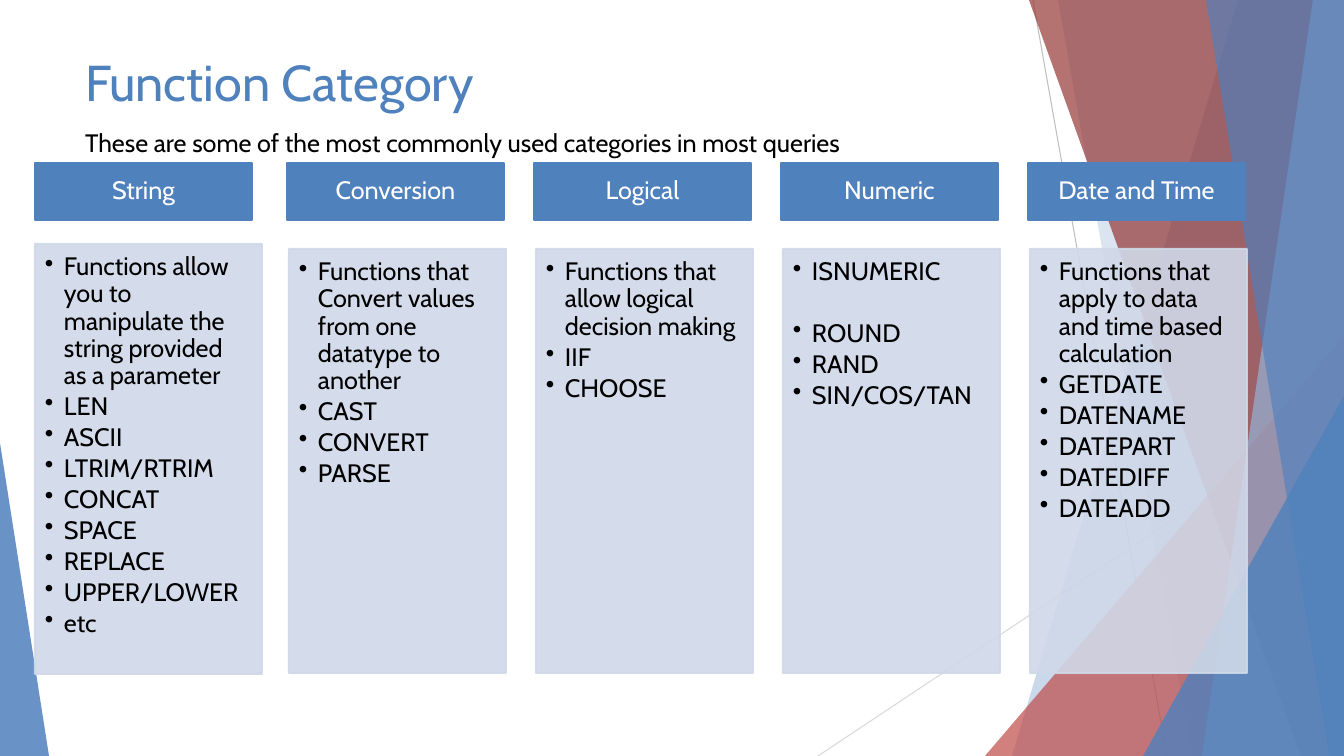
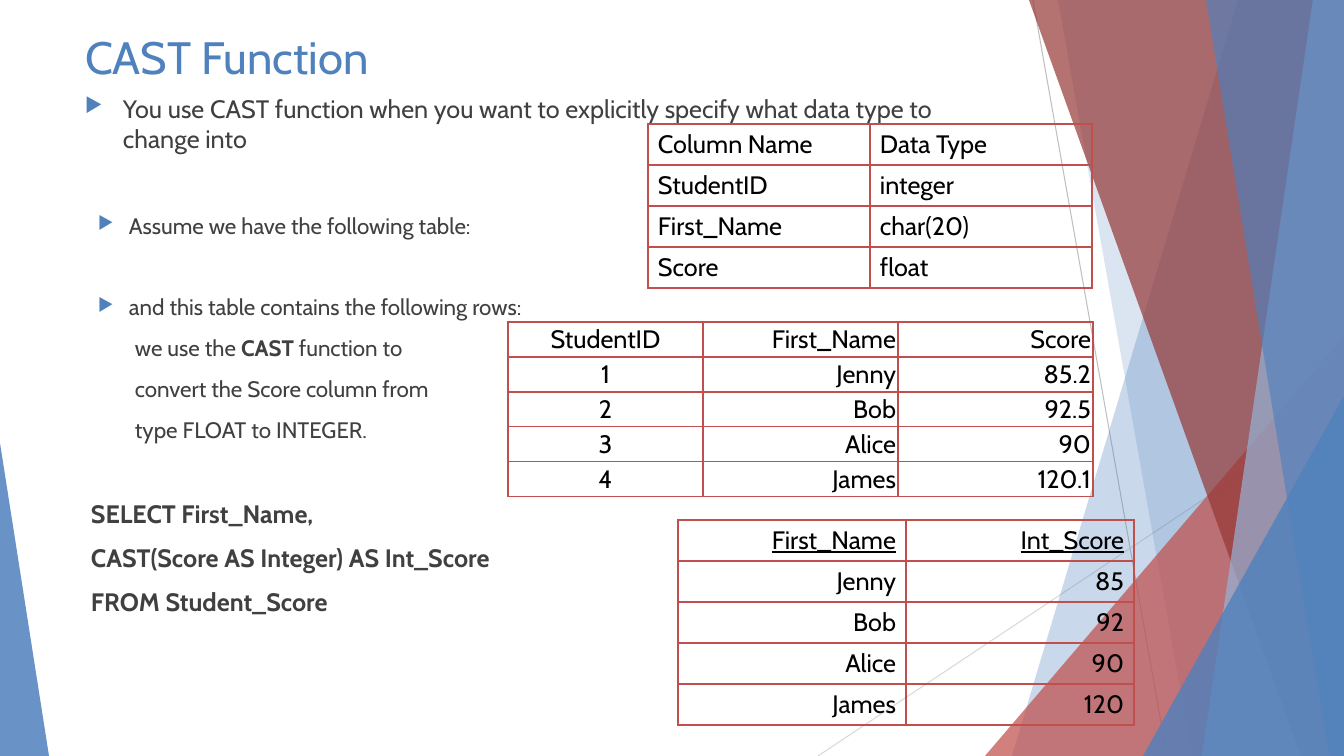
from dataclasses import dataclass

from lxml.etree import SubElement
from pptx import Presentation
from pptx.dml.color import RGBColor
from pptx.enum.shapes import MSO_CONNECTOR as Connector, MSO_SHAPE as Preset
from pptx.enum.text import MSO_ANCHOR as Anchor, MSO_AUTO_SIZE as AutoSize, PP_ALIGN as Align
from pptx.oxml.ns import qn
from pptx.util import Pt

SCALE = 914400 / 100.8
WIDTH, HEIGHT = 1344, 756


@dataclass(frozen=True)
class Theme:
    """Colours, font and type sizes of the deck."""
    font: str = "Cabin"
    accent: str = "4F81BD"
    red: str = "C0504D"
    dark_red: str = "953735"
    light_blue: str = "95B3D7"
    panel: str = "D0D8E8"
    ray: str = "BFBFBF"
    pale_ray: str = "D9D9D9"
    black: str = "000000"
    white: str = "FFFFFF"
    grey: str = "404040"
    title_size: float = 36
    small_title_size: float = 32.4
    text_size: float = 18
    detail_size: float = 16


THEME = Theme()

CATEGORIES = [
    ("String", ["Functions allow you to manipulate the string provided as a parameter",
                "LEN", "ASCII", "LTRIM/RTRIM", "CONCAT", "SPACE", "REPLACE",
                "UPPER/LOWER", "etc"]),
    ("Conversion", ["Functions that Convert values from one datatype to another",
                    "CAST", "CONVERT", "PARSE"]),
    ("Logical", ["Functions that allow logical decision making", "IIF", "CHOOSE"]),
    ("Numeric", ["ISNUMERIC", "ROUND", "RAND", "SIN/COS/TAN"]),
    ("Date and Time", ["Functions that apply to data and time based calculation",
                       "GETDATE", "DATENAME", "DATEPART", "DATEDIFF", "DATEADD"]),
]
COLUMN_TYPES = [("Column Name", "Data Type"), ("StudentID", "integer"),
                ("First_Name", "char(20)"), ("Score", "float")]
SCORES = [("StudentID", "First_Name", "Score"), ("1", "Jenny", "85.2"),
          ("2", "Bob", "92.5"), ("3", "Alice", "90"), ("4", "James", "120.1")]
CAST_SCORES = [("First_Name", "Int_Score"), ("Jenny", "85"), ("Bob", "92"),
               ("Alice", "90"), ("James", "120")]


def px(*lengths):
    """Turn pixel lengths into a list of EMU."""
    return [round(length * SCALE) for length in lengths]


def rgb(code):
    """Return the colour for a hex code."""
    return RGBColor.from_string(code)


def apply(target, values):
    """Set every attribute named in values."""
    for name, value in values.items():
        setattr(target, name, value)


def add_span(para, text, color, size=THEME.text_size, **values):
    """Add a formatted run to a paragraph."""
    span = para.add_run()
    span.text = text
    apply(span.font, {"name": THEME.font, "size": Pt(size), **values})
    span.font.color.rgb = rgb(color)


def set_frame(frame, insets=(10, 5, 10, 5), anchor=Anchor.TOP):
    """Set wrapping, insets and anchor of a text frame."""
    left, top, right, bottom = px(*insets)
    apply(frame, {"word_wrap": True, "auto_size": AutoSize.NONE,
                  "vertical_anchor": anchor, "margin_left": left, "margin_top": top,
                  "margin_right": right, "margin_bottom": bottom})


def next_para(frame, **values):
    """Return the unused first paragraph or a new one, left aligned by default."""
    first = frame.paragraphs[0]
    para = first if not first.runs else frame.add_paragraph()
    apply(para, {"alignment": Align.LEFT, **values})
    return para


def set_indent(para, left, hanging=0, bullet=None, color=None, percent=100):
    """Set the indent of a paragraph and its bullet, if any."""
    props = para._p.get_or_add_pPr()
    margin, first = px(left, -hanging)
    props.set("marL", str(margin))
    props.set("indent", str(first))
    if bullet is None:
        SubElement(props, qn("a:buNone"))
        return
    if color:
        SubElement(SubElement(props, qn("a:buClr")), qn("a:srgbClr"), val=color)
    SubElement(props, qn("a:buSzPct"), val=str(percent * 1000))
    SubElement(props, qn("a:buChar"), char=bullet)


def paint(shape, color, opacity=100, line=None):
    """Give a shape its fill, line and opacity, without shadow."""
    shape.shadow.inherit = False
    shape.fill.solid()
    shape.fill.fore_color.rgb = rgb(color)
    if line:
        shape.line.color.rgb = rgb(color)
        shape.line.width = Pt(line)
    else:
        shape.line.fill.background()
    if opacity < 100:
        for node in shape.element.spPr.iter(qn("a:srgbClr")):
            SubElement(node, qn("a:alpha"), val=str(opacity * 1000))


def add_ray(slide, start, end, color):
    """Add a thin straight line."""
    ray = slide.shapes.add_connector(Connector.STRAIGHT, *px(*start, *end))
    ray.line.color.rgb = rgb(color)
    ray.line.width = Pt(0.75)
    SubElement(ray.element.spPr, qn("a:effectLst"))


def add_facet(slide, top_x, bottom_x, color, opacity):
    """Add a translucent band from a slanted edge to the right slide edge."""
    builder = slide.shapes.build_freeform(top_x, 0, SCALE)
    builder.add_line_segments([(WIDTH, 0), (WIDTH, HEIGHT), (bottom_x, HEIGHT)], close=True)
    paint(builder.convert_to_shape(), color, opacity)


def add_corner(slide, left, top, width, peak, color, opacity):
    """Add a translucent triangle standing on the bottom edge."""
    corner = slide.shapes.add_shape(Preset.ISOSCELES_TRIANGLE,
                                    *px(left, top, width, HEIGHT - top))
    corner.adjustments[0] = peak
    paint(corner, color, opacity)


def decorate_layout(layout, slide):
    """Draw the facets on a fresh slide and move them to its layout."""
    for holder in list(layout.placeholders):
        if holder.placeholder_format.idx:
            holder.element.getparent().remove(holder.element)
    add_ray(slide, (1033, 0), (1167, HEIGHT), THEME.ray)
    add_ray(slide, (WIDTH, 406), (818, HEIGHT), THEME.pale_ray)
    add_facet(slide, 1238, 1012, THEME.accent, 30)
    add_facet(slide, 1058, 1192, THEME.accent, 20)
    add_corner(slide, 985, 336, 359, 1, THEME.red, 72)
    add_facet(slide, 1029, 1301, THEME.dark_red, 70)
    add_facet(slide, 1313, 1202, THEME.light_blue, 70)
    add_facet(slide, 1206, 1329, THEME.accent, 65)
    add_corner(slide, 1143, 396, 201, 1, THEME.accent, 80)
    add_corner(slide, 0, 443, 49, 0, THEME.accent, 85)
    for shape in list(slide.shapes):
        if not shape.is_placeholder:
            layout.shapes.element.append(shape.element)


def set_title(slide, text, top, height, size):
    """Place and format the title placeholder."""
    title = slide.shapes.title
    apply(title, dict(zip(("left", "top", "width", "height"), px(75, top, 948, height))))
    set_frame(title.text_frame)
    add_span(next_para(title.text_frame), text, THEME.accent, size)


def add_text_box(slide, left, top, width, height):
    """Add a text box and return its frame."""
    frame = slide.shapes.add_textbox(*px(left, top, width, height)).text_frame
    set_frame(frame)
    return frame


def add_header(slide, left, text):
    """Add the solid heading of a category."""
    box = slide.shapes.add_shape(Preset.RECTANGLE, *px(left, 163, 217, 57))
    paint(box, THEME.accent, line=1.5)
    set_frame(box.text_frame, (14, 8, 14, 8), Anchor.MIDDLE)
    para = next_para(box.text_frame, alignment=Align.CENTER, line_spacing=0.9)
    add_span(para, text, THEME.white)


def add_panel(slide, bounds, items, gap_before=None):
    """Add the bulleted panel of a category, with a gap before one item."""
    box = slide.shapes.add_shape(Preset.RECTANGLE, *px(*bounds))
    paint(box, THEME.panel, 90, 1.5)
    set_frame(box.text_frame, (10, 10, 14, 16))
    for item in items:
        gap = 22 if item == gap_before else 0
        para = next_para(box.text_frame, line_spacing=0.9, space_before=Pt(gap),
                         space_after=Pt(2.7))
        set_indent(para, 19, 19, "•")
        add_span(para, item, THEME.black)


def add_border(cell):
    """Draw the four thin borders of a cell."""
    props = cell._tc.get_or_add_tcPr()
    for side in ("a:lnL", "a:lnR", "a:lnT", "a:lnB"):
        line = SubElement(props, qn(side), w=str(Pt(1)))
        SubElement(SubElement(line, qn("a:solidFill")), qn("a:srgbClr"), val=THEME.red)


def add_grid(slide, left, top, column_width, row_height, rows, aligns,
             insets=(10, 5, 10, 5), underline_head=False):
    """Add an unfilled table with thin borders and one alignment per column."""
    count = len(rows[0])
    frame = slide.shapes.add_table(len(rows), count, *px(
        left, top, column_width * count, row_height * len(rows)))
    table = frame.table
    apply(table, {"first_row": False, "horz_banding": False})
    margins = dict(zip(("margin_left", "margin_top", "margin_right", "margin_bottom"),
                       px(*insets)))
    for row_index, row in enumerate(rows):
        for column_index, text in enumerate(row):
            cell = table.cell(row_index, column_index)
            add_border(cell)
            cell.fill.background()
            apply(cell, {"vertical_anchor": Anchor.MIDDLE, **margins})
            para = next_para(cell.text_frame, alignment=aligns[column_index])
            add_span(para, text, THEME.black, underline=underline_head and row_index == 0)


def add_arrow_item(frame, text, size, left, hanging, before):
    """Add a paragraph with an arrow bullet."""
    para = next_para(frame, space_before=Pt(before))
    set_indent(para, left, hanging, "▶", THEME.accent, 80)
    add_span(para, text, THEME.grey, size)


def add_plain_item(frame, spans, size, left, before=10):
    """Add a paragraph without bullet from (text, bold) spans."""
    para = next_para(frame, space_before=Pt(before))
    set_indent(para, left)
    for text, bold in spans:
        add_span(para, text, THEME.grey, size, bold=bold)


def fill_category_slide(slide):
    """Build the overview of function categories."""
    set_title(slide, "Function Category", 46, 96, THEME.title_size)
    for index, (name, items) in enumerate(CATEGORIES):
        left = 287 + 247 * (index - 1) if index else 35
        bounds = (left + 2, 249, 217, 424) if index else (left, 244, 227, 430)
        add_header(slide, left, name)
        add_panel(slide, bounds, items, gap_before="ROUND")
    frame = add_text_box(slide, 75, 122, 830, 40)
    add_span(next_para(frame), "These are some of the most commonly used categories "
             "in most queries", THEME.black)


def fill_cast_slide(slide):
    """Build the CAST explanation with its three tables."""
    set_title(slide, "CAST Function", 24, 64, THEME.small_title_size)
    frame = add_text_box(slide, 75, 88, 948, 651)
    big, small = THEME.text_size, THEME.detail_size
    add_arrow_item(frame, "You use CAST function when you want to explicitly specify "
                   "what data type to change into", big, 38, 38, 0)
    add_arrow_item(frame, "Assume we have the following table:", small, 44, 31, 41.6)
    add_arrow_item(frame, "and this table contains the following rows:", small, 44, 31, 39.2)
    for spans in ([("we use the ", False), ("CAST", True), (" function to", False)],
                  [("convert the Score column from", False)],
                  [("type FLOAT to INTEGER.", False)]):
        add_plain_item(frame, spans, small, 50)
    for text, before in (("SELECT First_Name,", 39.2),
                         ("CAST(Score AS Integer) AS Int_Score", 10),
                         ("FROM Student_Score", 10)):
        add_plain_item(frame, [(text, True)], big, 6, before)
    add_grid(slide, 648, 124, 222, 41, COLUMN_TYPES, [Align.LEFT] * 2)
    add_grid(slide, 508, 322, 195, 35, SCORES, [Align.CENTER, Align.RIGHT, Align.RIGHT],
             insets=(2, 2, 2, 2))
    add_grid(slide, 678, 520, 228, 41, CAST_SCORES, [Align.RIGHT] * 2, underline_head=True)


def main():
    """Build and save the deck."""
    deck = Presentation()
    deck.slide_width, deck.slide_height = px(WIDTH, HEIGHT)
    layout = deck.slide_layouts.get_by_name("Title Only")
    pages = [deck.slides.add_slide(layout) for _ in range(2)]
    decorate_layout(layout, pages[0])
    for page, fill in zip(pages, (fill_category_slide, fill_cast_slide)):
        fill(page)
    deck.save("out.pptx")


main()
